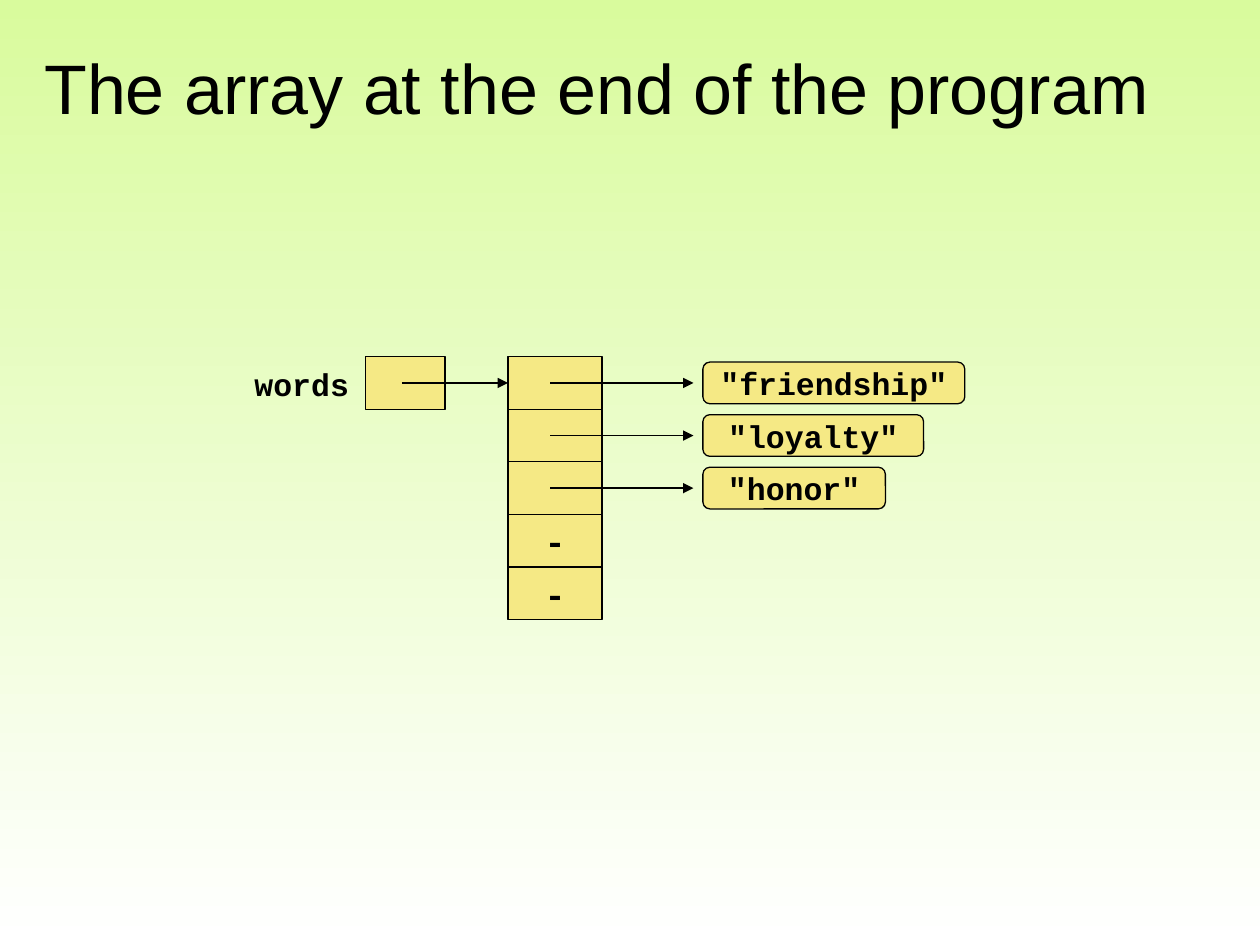
"""Build a slide showing a partly filled array of string references."""
from pptx import Presentation
from pptx.dml.color import RGBColor
from pptx.enum.shapes import MSO_CONNECTOR, MSO_SHAPE
from pptx.enum.text import MSO_ANCHOR as ANCHOR, PP_ALIGN as ALIGN
from pptx.oxml.ns import qn
from pptx.util import Cm, Pt
from lxml.etree import SubElement

BLACK = RGBColor(0x00, 0x00, 0x00)
YELLOW = RGBColor(0xF5, 0xE9, 0x85)
GREEN = RGBColor(0xD9, 0xFB, 0x9D)
WHITE = RGBColor(0xFF, 0xFF, 0xFF)

TOP, ROW_H = 7.19, 1.06
ARRAY_X, ARRAY_W = 10.24, 1.9
STRING_X, STRING_H = 14.17, 0.84


def write(sp, text, size=18, font="Courier New", bold=True, align=ALIGN.CENTER, wrap=False):
    tf = sp.text_frame
    tf.word_wrap = wrap
    tf.vertical_anchor = ANCHOR.MIDDLE
    p = tf.paragraphs[0]
    p.alignment = align
    r = p.add_run()
    r.text = text
    r.font.name, r.font.size, r.font.bold = font, Pt(size), bold
    r.font.color.rgb = BLACK


def add_box(shapes, kind, x, y, w, h):
    sp = shapes.add_shape(kind, Cm(x), Cm(y), Cm(w), Cm(h))
    sp.shadow.inherit = False
    sp.fill.solid()
    sp.fill.fore_color.rgb = YELLOW
    sp.line.color.rgb = BLACK
    sp.line.width = Pt(0.75)
    return sp


prs = Presentation()
prs.slide_width, prs.slide_height = Cm(25.4), Cm(19.05)
s = prs.slides.add_slide(prs.slide_layouts[5])

bg = s.background.fill
bg.gradient()
bg.gradient_angle = 270
for stop, color in zip(bg.gradient_stops, (GREEN, WHITE)):
    stop.color.rgb = color

title = s.shapes.title
title.left, title.top, title.width, title.height = Cm(0.64), Cm(0.76), Cm(24.13), Cm(1.98)
write(title, "The array at the end of the program", size=40, font="Arial",
      bold=False, align=ALIGN.LEFT, wrap=True)

label = s.shapes.add_textbox(Cm(4.88), Cm(7.24), Cm(2.41), Cm(1.02))
write(label, "words", align=ALIGN.LEFT)
add_box(s.shapes, MSO_SHAPE.RECTANGLE, 7.37, TOP, 1.6, ROW_H)

cells = [add_box(s.shapes, MSO_SHAPE.RECTANGLE, ARRAY_X, TOP + i * ROW_H, ARRAY_W, ROW_H)
         for i in range(5)]
for cell in cells[3:]:
    write(cell, "-", size=20)

arrows = [(8.1, ARRAY_X, TOP + ROW_H / 2)]
strings = [('"friendship"', 5.28), ('"loyalty"', 4.45), ('"honor"', 3.68)]
for i, (text, width) in enumerate(strings):
    mid = TOP + (i + 0.5) * ROW_H
    sp = add_box(s.shapes, MSO_SHAPE.ROUNDED_RECTANGLE, STRING_X, mid - STRING_H / 2, width, STRING_H)
    write(sp, text)
    arrows.append((11.09, 13.98, mid))

for i, (x1, x2, y) in enumerate(arrows):
    arrow = s.shapes.add_connector(MSO_CONNECTOR.STRAIGHT, Cm(x1), Cm(y), Cm(x2), Cm(y))
    if i == 0:
        arrow.end_connect(cells[0], 1)
    arrow.line.color.rgb = BLACK
    arrow.line.width = Pt(0.75)
    SubElement(arrow.line._get_or_add_ln(), qn("a:tailEnd"), type="triangle")
    SubElement(arrow._element.spPr, qn("a:effectLst"))

prs.save("out.pptx")
